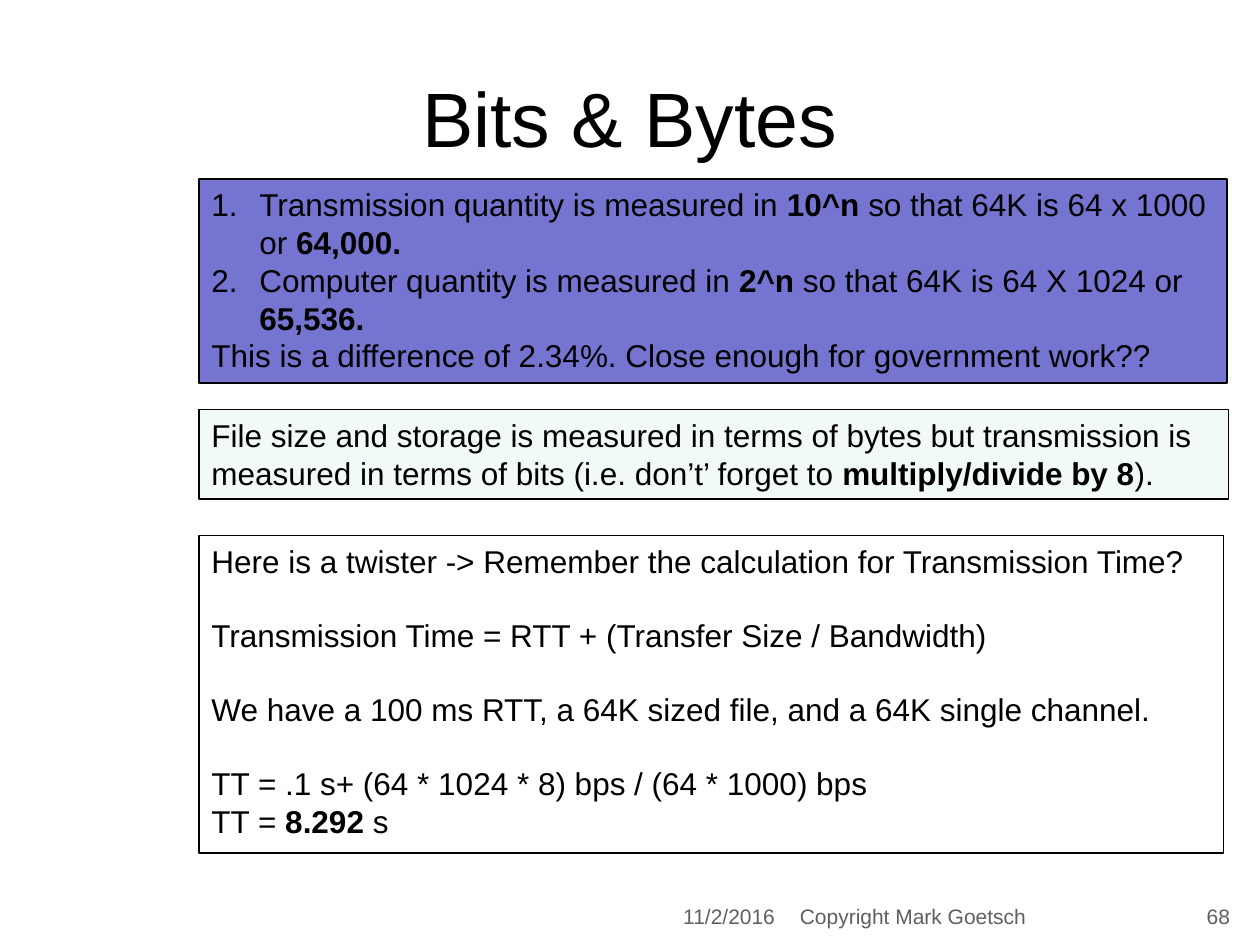
from dataclasses import dataclass

from lxml.etree import SubElement
from pptx import Presentation
from pptx.dml.color import RGBColor as RGB
from pptx.enum.shapes import MSO_SHAPE as Shape
from pptx.enum.text import MSO_ANCHOR as Anchor, MSO_AUTO_SIZE as AutoSize, PP_ALIGN as Align
from pptx.oxml.ns import qn
from pptx.util import Inches, Pt


@dataclass(frozen=True)
class Theme:
    font: str = "Arial"
    title_size: float = 44
    body_size: float = 18
    footer_size: float = 12
    line_gap: float = 20.7  # one body line
    border_width: float = 0.75
    ink: RGB = RGB(0x00, 0x00, 0x00)
    muted: RGB = RGB(0x5F, 0x5F, 0x5F)
    violet: RGB = RGB(0x75, 0x75, 0xD1)
    mint: RGB = RGB(0xF1, 0xF9, 0xF9)
    white: RGB = RGB(0xFF, 0xFF, 0xFF)


class SlideBuilder:
    def __init__(self, slide, theme):
        self.slide = slide
        self.theme = theme

    def style(self, paragraph, size, color, align=Align.LEFT):
        paragraph.alignment = align
        for run in paragraph.runs:
            run.font.name = self.theme.font
            run.font.size = Pt(size)
            run.font.color.rgb = color

    def title(self, text, left, top, width, height):
        title = self.slide.shapes.title
        title.left, title.top = Inches(left), Inches(top)
        title.width, title.height = Inches(width), Inches(height)
        title.text_frame.text = text
        title.text_frame.vertical_anchor = Anchor.MIDDLE
        self.style(title.text_frame.paragraphs[0], self.theme.title_size,
                   self.theme.ink, Align.CENTER)

    def footer(self, text, left, width, align):
        box = self.slide.shapes.add_textbox(
            Inches(left), Inches(6.9), Inches(width), Inches(0.52))
        frame = box.text_frame
        frame.word_wrap = True
        frame.vertical_anchor = Anchor.BOTTOM
        frame.text = text
        self.style(frame.paragraphs[0], self.theme.footer_size, self.theme.muted, align)

    def panel(self, lines, top, width, height, fill):
        """Add a bordered panel; **marks** in its lines set bold text."""
        panel = self.slide.shapes.add_shape(
            Shape.RECTANGLE, Inches(1.58), Inches(top), Inches(width), Inches(height))
        panel.shadow.inherit = False
        panel.fill.solid()
        panel.fill.fore_color.rgb = fill
        panel.line.color.rgb = self.theme.ink
        panel.line.width = Pt(self.theme.border_width)
        frame = panel.text_frame
        frame.word_wrap = True
        frame.auto_size = AutoSize.SHAPE_TO_FIT_TEXT
        frame.vertical_anchor = Anchor.TOP
        for index, line in enumerate(lines):
            paragraph = frame.add_paragraph() if index else frame.paragraphs[0]
            for part, words in enumerate(line.split("**")):
                if words:
                    run = paragraph.add_run()
                    run.text = words
                    run.font.bold = part % 2 == 1
            self.style(paragraph, self.theme.body_size, self.theme.ink)
        return frame.paragraphs

    def number(self, paragraphs):
        for paragraph in paragraphs:
            props = paragraph._p.get_or_add_pPr()
            props.set("marL", str(Inches(0.38)))
            props.set("indent", str(-Inches(0.38)))
            SubElement(props, qn("a:buFont"), typeface=self.theme.font)
            SubElement(props, qn("a:buAutoNum"), type="arabicPeriod")

    def space_out(self, paragraphs):
        for paragraph in paragraphs:
            paragraph.space_before = Pt(self.theme.line_gap)


def main():
    deck = Presentation()
    deck.slide_width, deck.slide_height = Inches(10), Inches(7.5)
    theme = Theme()
    builder = SlideBuilder(deck.slides.add_slide(deck.slide_layouts[5]), theme)

    builder.title("Bits & Bytes", 0.5, 0.3, 9, 1.25)

    # Footer: date, copyright, page
    builder.footer("11/2/2016", 3.92, 2.33, Align.RIGHT)
    builder.footer("Copyright Mark Goetsch", 6.25, 3.17, Align.LEFT)
    builder.footer("68", 9.42, 0.5, Align.CENTER)

    # Transmission versus computer quantities
    quantities = builder.panel([
        "Transmission quantity is measured in **10^n** so that 64K is 64 x 1000 or **64,000.**",
        "Computer quantity is measured in **2^n** so that 64K is 64 X 1024 or **65,536.**",
        "This is a difference of 2.34%. Close enough for government work??",
    ], 1.42, 8.16, 1.62, theme.violet)
    builder.number(quantities[:2])

    # Bytes versus bits
    builder.panel([
        "File size and storage is measured in terms of bytes but transmission is measured "
        "in terms of bits (i.e. don’t’ forget to **multiply/divide by 8**).",
    ], 3.25, 8.17, 0.71, theme.mint)

    # Worked example
    example = builder.panel([
        "Here is a twister -> Remember the calculation for Transmission Time?",
        "Transmission Time = RTT + (Transfer Size / Bandwidth)",
        "We have a 100 ms RTT, a 64K sized file, and a 64K single channel.",
        "TT = .1 s+ (64 * 1024 * 8) bps / (64 * 1000) bps",
        "TT = **8.292** s",
    ], 4.25, 8.13, 2.52, theme.white)
    builder.space_out(example[1:4])

    deck.save("out.pptx")


if __name__ == "__main__":
    main()
